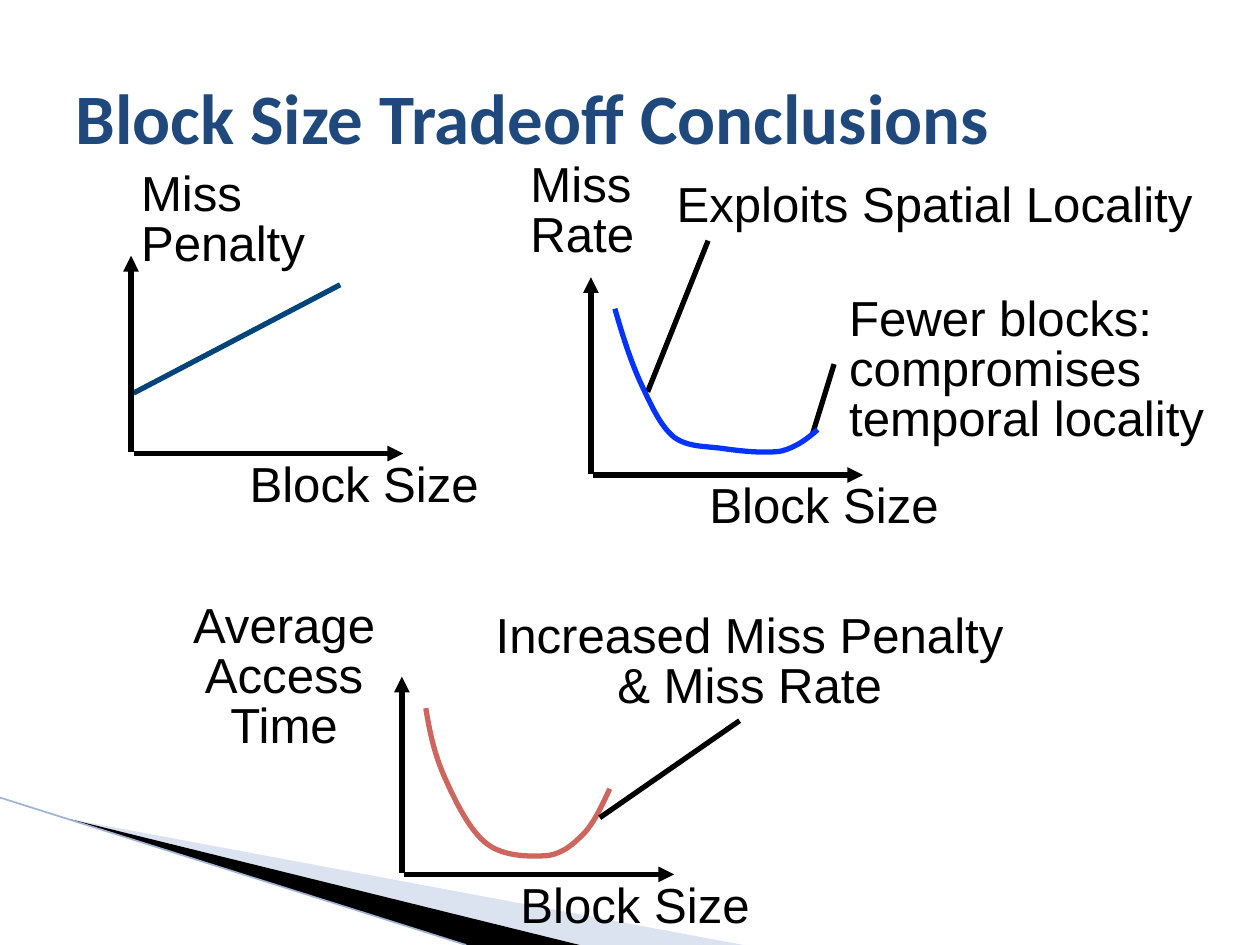
from lxml import etree
from pptx import Presentation
from pptx.dml.color import RGBColor
from pptx.enum.shapes import MSO_CONNECTOR
from pptx.enum.text import MSO_ANCHOR, MSO_AUTO_SIZE, PP_ALIGN
from pptx.oxml.ns import qn
from pptx.util import Inches, Pt

STRAIGHT = MSO_CONNECTOR.STRAIGHT
LEFT, CENTER = PP_ALIGN.LEFT, PP_ALIGN.CENTER
MIDDLE, TOP = MSO_ANCHOR.MIDDLE, MSO_ANCHOR.TOP
GROW, FIXED = MSO_AUTO_SIZE.SHAPE_TO_FIT_TEXT, MSO_AUTO_SIZE.NONE

BLACK = RGBColor(0x00, 0x00, 0x00)
TITLE_NAVY = RGBColor(0x1F, 0x49, 0x7D)
PENALTY_BLUE = RGBColor(0x00, 0x44, 0x79)
RATE_BLUE = RGBColor(0x04, 0x33, 0xFF)
ACCESS_RED = RGBColor(0xCD, 0x66, 0x5F)
WEDGE_BLUE = RGBColor(0xA7, 0xB9, 0xDB)
EDGE_BLUE = RGBColor(0x9E, 0xB3, 0xD6)

COLUMNS, ROWS = 100, 75
CELL = Inches(0.1)
TITLE_FONT = {"name": "Calibri", "size": Pt(40.5), "bold": True}
LABEL_FONT = {"name": "Arial", "size": Pt(28.1), "bold": False}

RATE_CURVE = [
    (1.9, 2.5),
    (2.5, 4.6), (3.2, 6.8), (4, 8.5),
    (4.8, 10.2), (5.5, 11.8), (6.6, 12.7),
    (7.7, 13.5), (9.1, 13.4), (10.5, 13.6),
    (11.9, 13.8), (13.8, 14), (15.1, 13.8),
    (16.3, 13.5), (17.2, 12.8), (18, 12.1),
]
ACCESS_CURVE = [
    (1.9, 2.5),
    (2.2, 4.4), (2.6, 6.2), (3.4, 8),
    (4.2, 9.8), (5.4, 12.3), (6.8, 13.3),
    (8.1, 14.3), (10.3, 14.3), (11.6, 14.2),
    (12.9, 14), (13.7, 13.2), (14.5, 12.4),
    (15.3, 11.5), (15.9, 10.2), (16.5, 8.9),
]


def cells(*values):
    """Turn grid cells into lengths."""
    return [round(value * CELL) for value in values]


def shift(origin, point):
    """Move a point of a graph onto the slide grid."""
    return origin[0] + point[0], origin[1] + point[1]


def add_text(slide, box, lines, font, color, align=LEFT, spacing=0.85,
             inset=0.3, anchor=TOP, fit=GROW):
    """Add a text box with one paragraph for each line."""
    frame = slide.shapes.add_textbox(*cells(*box)).text_frame
    margin = cells(inset)[0]
    layout = {"word_wrap": False, "auto_size": fit, "vertical_anchor": anchor,
              "margin_left": margin, "margin_right": margin,
              "margin_top": margin, "margin_bottom": margin}
    for key, value in layout.items():
        setattr(frame, key, value)
    frame.text = "\n".join(lines)
    for paragraph in frame.paragraphs:
        paragraph.alignment = align
        paragraph.line_spacing = spacing
        for key, value in font.items():
            setattr(paragraph.font, key, value)
        paragraph.font.color.rgb = color


def add_line(slide, start, end, color=BLACK, width=3, arrow=False):
    """Draw a straight line, with an arrowhead at its end if asked."""
    line = slide.shapes.add_connector(STRAIGHT, *cells(*start, *end))
    line.line.color.rgb = color
    line.line.width = Pt(width)
    if arrow:
        etree.SubElement(line.line._get_or_add_ln(), qn("a:tailEnd"), type="triangle")
    etree.SubElement(line._element.spPr, qn("a:effectLst"))


def add_outline(slide, points, close):
    """Build a freeform through the given grid points."""
    start, *rest = [cells(*point) for point in points]
    builder = slide.shapes.build_freeform(*start)
    builder.add_line_segments(rest, close=close)
    outline = builder.convert_to_shape()
    outline.shadow.inherit = False
    return outline


def add_curve(slide, points, color):
    """Draw a chain of Bezier curves, three points to each."""
    curve = add_outline(slide, points, close=False)
    curve.fill.background()
    curve.line.color.rgb = color
    curve.line.width = Pt(3)
    segments = list(curve._element.iter(qn("a:lnTo")))
    for first in range(0, len(segments), 3):
        bezier = etree.Element(qn("a:cubicBezTo"))
        segments[first].addprevious(bezier)
        for segment in segments[first:first + 3]:
            bezier.append(segment[0])
            segment.getparent().remove(segment)


def add_wedge(slide, points, color, opacity):
    """Draw a filled corner wedge."""
    wedge = add_outline(slide, points, close=True)
    wedge.fill.solid()
    wedge.fill.fore_color.rgb = color
    wedge.line.fill.background()
    tint = next(wedge._element.iter(qn("a:srgbClr")))
    etree.SubElement(tint, qn("a:alpha"), val=str(opacity * 1000))


def add_corner(slide, left, top):
    """Draw the wedges in the bottom left corner."""
    right, bottom = COLUMNS, ROWS
    tip = (left + 5.5, top + 1.7)
    add_wedge(slide, [tip, (right * 0.59, bottom), (right * 0.46, bottom)], WEDGE_BLUE, 40)
    add_wedge(slide, [tip, (right * 0.46, bottom), (right * 0.37, bottom)], BLACK, 100)
    add_line(slide, (left, top), (right * 0.37, bottom), EDGE_BLUE, 0.95)


def add_graph(slide, origin, label_box, label, align=LEFT, callouts=()):
    """Draw axes, their labels and callouts from the tip of the upright axis."""
    for start, end in [((0, 15.6), (0, 0)), ((0.2, 15.7), (21.6, 15.7))]:
        add_line(slide, shift(origin, start), shift(origin, end), arrow=True)
    add_text(slide, (*shift(origin, label_box), *label_box[2:]), label,
             LABEL_FONT, BLACK, align)
    add_text(slide, (*shift(origin, (9, 15.7)), 19.2, 5.2), ["Block Size"],
             LABEL_FONT, BLACK, spacing=0.93, inset=0.4)
    for start, end, box, lines, text_align in callouts:
        add_line(slide, shift(origin, start), shift(origin, end))
        add_text(slide, (*shift(origin, box), *box[2:]), lines,
                 LABEL_FONT, BLACK, text_align)


def add_penalty_graph(slide, origin):
    """Draw miss penalty rising with block size."""
    add_line(slide, shift(origin, (0.2, 10.9)), shift(origin, (16.6, 2.3)), PENALTY_BLUE)
    add_graph(slide, origin, (0.5, -7, 13.7, 8.6), ["Miss", "Penalty"])


def add_rate_graph(slide, origin):
    """Draw miss rate with its two callouts."""
    add_graph(slide, origin, (-5.1, -9.4, 8.9, 8.6), ["Miss", "Rate"], callouts=[
        ((4.5, 9.1), (9.3, -2.9), (6.5, -7.8, 42, 4.5),
         ["Exploits Spatial Locality"], LEFT),
        ((17.6, 12.4), (19.3, 6.9), (20.2, 1.2, 29, 12.6),
         ["Fewer blocks:", "compromises", "temporal locality"], LEFT),
    ])
    add_curve(slide, [shift(origin, point) for point in RATE_CURVE], RATE_BLUE)


def add_access_graph(slide, origin):
    """Draw average access time with its callout."""
    add_curve(slide, [shift(origin, point) for point in ACCESS_CURVE], ACCESS_RED)
    add_graph(slide, origin, (-16.9, -6.1, 15.1, 12.6),
              ["Average", "Access", "Time"], CENTER, callouts=[
                  ((15.7, 11.2), (26.8, 3.5), (6.9, -5.3, 41.4, 8.6),
                   ["Increased Miss Penalty", "& Miss Rate"], CENTER)])


def main():
    """Build and save the slide."""
    deck = Presentation()
    deck.slide_width, deck.slide_height = cells(COLUMNS, ROWS)
    slide = deck.slides.add_slide(deck.slide_layouts[6])
    add_corner(slide, 0, 63.3)
    add_text(slide, (5, 3, 90, 12.5), ["Block Size Tradeoff Conclusions"],
             TITLE_FONT, TITLE_NAVY, spacing=1.0, inset=1, anchor=MIDDLE, fit=FIXED)
    add_penalty_graph(slide, (10.4, 20.3))
    add_rate_graph(slide, (46.9, 22))
    add_access_graph(slide, (31.9, 53.7))
    deck.save("out.pptx")


if __name__ == "__main__":
    main()
